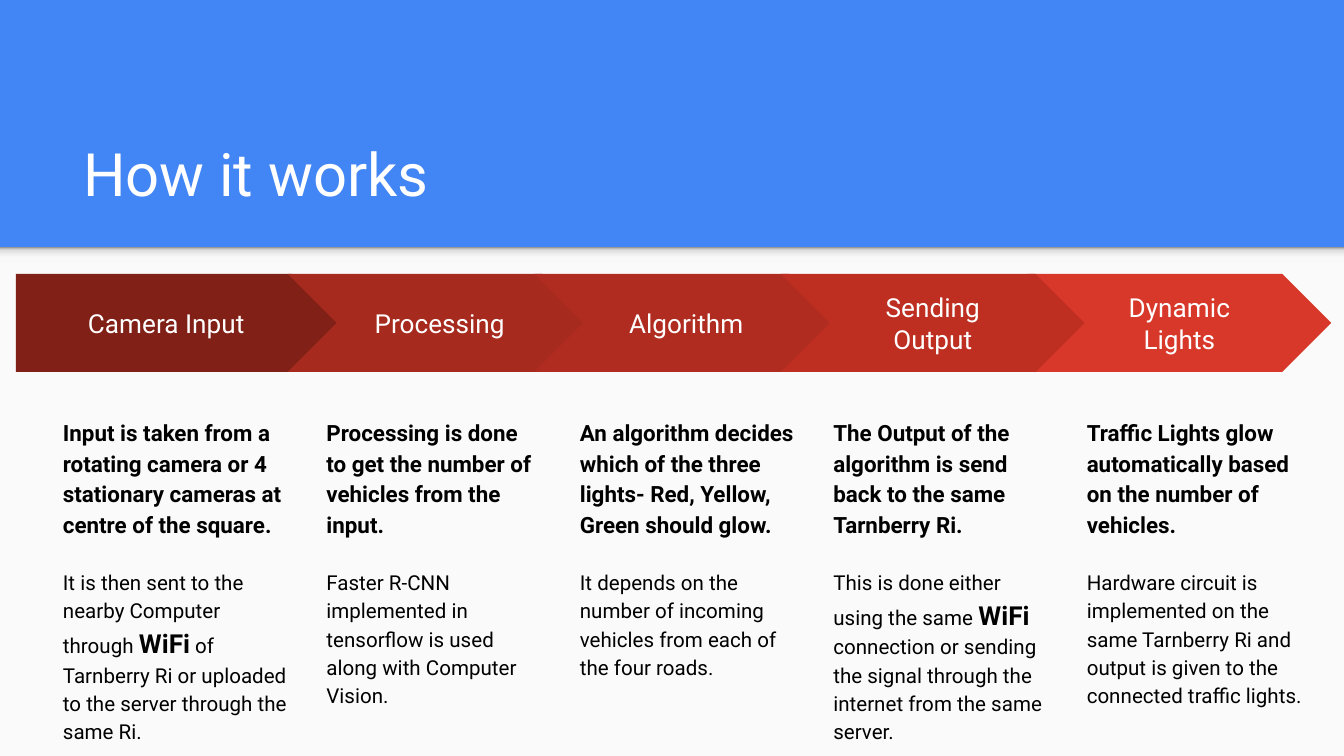
from copy import deepcopy

from lxml import etree
from pptx import Presentation
from pptx.dml.color import RGBColor
from pptx.enum.shapes import MSO_SHAPE
from pptx.enum.text import MSO_ANCHOR, PP_ALIGN
from pptx.oxml.ns import qn
from pptx.util import Cm, Pt

RECTANGLE = MSO_SHAPE.RECTANGLE
PENTAGON = MSO_SHAPE.PENTAGON
CHEVRON = MSO_SHAPE.CHEVRON
MIDDLE, BOTTOM = MSO_ANCHOR.MIDDLE, MSO_ANCHOR.BOTTOM
CENTER = PP_ALIGN.CENTER

FONT = "Roboto"
BLUE, PAPER, WHITE, BLACK = "4285F4", "FAFAFA", "FFFFFF", "000000"
SHADOW_STOPS = [(0, "F9F9F9"), (0.36, "F9F9F9"), (0.8, "DEDEDE"), (1, "999999")]
PAGE_WIDTH, PAGE_HEIGHT, HEADER_HEIGHT = 25.4, 14.29, 4.67

# Each step: label, arrow colour, bold summary, detail spans as (text, is bold)
STEPS = [
    ("Camera Input", "802017",
     "Input is taken from a rotating camera or 4 stationary cameras at centre of the square.",
     [("It is then sent to the nearby Computer through ", False), ("WiFi", True),
      (" of Tarnberry Ri or uploaded to the server through the same Ri.", False)]),
    ("Processing", "A72A1E",
     "Processing is done to get the number of vehicles from the input.",
     [("Faster R-CNN implemented in tensorflow is used along with Computer Vision.", False)]),
    ("Algorithm", "B02C20",
     "An algorithm decides which of the three lights- Red, Yellow, Green should glow.",
     [("It depends on the number of incoming vehicles from each of the four roads.", False)]),
    ("Sending Output", "BE2F22",
     "The Output of the algorithm is send back to the same Tarnberry Ri.",
     [("This is done either using the same ", False), ("WiFi", True),
      (" connection or sending the signal through the internet from the same server.", False)]),
    ("Dynamic Lights", "D83829",
     "Traffic Lights glow automatically based on the number of vehicles.",
     [("Hardware circuit is implemented on the same Tarnberry Ri and output is given "
       "to the connected traffic lights.", False)]),
]
DRAW_ORDER = [0, 1, 2, 4, 3]  # the fourth arrow lies over the fifth


def color(hex_text):
    return RGBColor.from_string(hex_text)


def add_span(para, text, size, hex_text, bold=False):
    span = para.add_run()
    span.text = text
    span.font.name = FONT
    span.font.size = Pt(size)
    span.font.bold = bold
    span.font.color.rgb = color(hex_text)


def set_up_frame(frame):
    frame.word_wrap = True
    frame.margin_left = frame.margin_right = Cm(0.25)
    frame.margin_top = frame.margin_bottom = Cm(0.25)


def add_block(page, kind, left, top, width, height, fill):
    block = page.shapes.add_shape(kind, Cm(left), Cm(top), Cm(width), Cm(height))
    block.shadow.inherit = False
    block.line.fill.background()
    block.fill.solid()
    block.fill.fore_color.rgb = color(fill)
    return block


def add_text_box(page, left, top, width, height):
    box = page.shapes.add_textbox(Cm(left), Cm(top), Cm(width), Cm(height))
    set_up_frame(box.text_frame)
    return box.text_frame


def add_header_shadow(page, left, top, width, height):
    strip = add_block(page, RECTANGLE, left, top, width, height, PAPER)
    strip.fill.gradient()
    strip.fill.gradient_angle = 90
    stop_list = next(strip.element.iter(qn("a:gsLst")))
    for stop in list(stop_list):
        stop_list.append(deepcopy(stop))
    for stop, (position, hex_text) in zip(strip.fill.gradient_stops, SHADOW_STOPS):
        stop.position = position
        stop.color.rgb = color(hex_text)


def add_title(page, left, top, width, height):
    frame = add_text_box(page, left, top, width, height)
    frame.vertical_anchor = BOTTOM
    add_span(frame.paragraphs[0], "How it works", 32, WHITE)


def add_arrow(page, kind, left, top, width, height, label, fill):
    arrow = add_block(page, kind, left, top, width, height, fill)
    arrow.adjustments[0] = 0.5
    frame = arrow.text_frame
    set_up_frame(frame)
    frame.vertical_anchor = MIDDLE
    para = frame.paragraphs[0]
    para.alignment = CENTER
    add_span(para, label, 14, WHITE)


def add_description(page, left, top, width, height, summary, details):
    frame = add_text_box(page, left, top, width, height)
    first = frame.paragraphs[0]
    first.line_spacing = 1.15
    add_span(first, summary, 12, BLACK, True)
    second = frame.add_paragraph()
    second.line_spacing = 1.15
    second.space_before = Pt(15)
    for text, bold in details:
        add_span(second, text, 14 if bold else 11, BLACK, bold)


def add_process(page, left, top):
    """Place the arrow row and the descriptions under it; the first step is wider."""
    for index in DRAW_ORDER:
        label, fill, summary, details = STEPS[index]
        if index == 0:
            kind, arrow_left, arrow_width = PENTAGON, left, 6.15
            text_left, text_width = left + 0.64, 4.9
        else:
            kind, arrow_left, arrow_width = CHEVRON, left + 0.48 + 4.66 * index, 5.74
            text_left, text_width = left + 0.83 + 4.79 * index, 4.6
        add_arrow(page, kind, arrow_left, top, arrow_width, 1.85, label, fill)
        add_description(page, text_left, top + 2.41, text_width, 6.53, summary, details)


def main():
    deck = Presentation()
    deck.slide_width, deck.slide_height = Cm(PAGE_WIDTH), Cm(PAGE_HEIGHT)
    page = deck.slides.add_slide(deck.slide_layouts[6])
    page.background.fill.solid()
    page.background.fill.fore_color.rgb = color(BLUE)
    add_block(page, RECTANGLE, 0, HEADER_HEIGHT, PAGE_WIDTH,
              PAGE_HEIGHT - HEADER_HEIGHT, PAPER)
    add_header_shadow(page, 0, HEADER_HEIGHT, PAGE_WIDTH, 0.3)
    add_title(page, 1.32, 2.06, 22.83, 2.13)
    add_process(page, 0.3, 5.18)
    deck.save("out.pptx")


if __name__ == "__main__":
    main()
